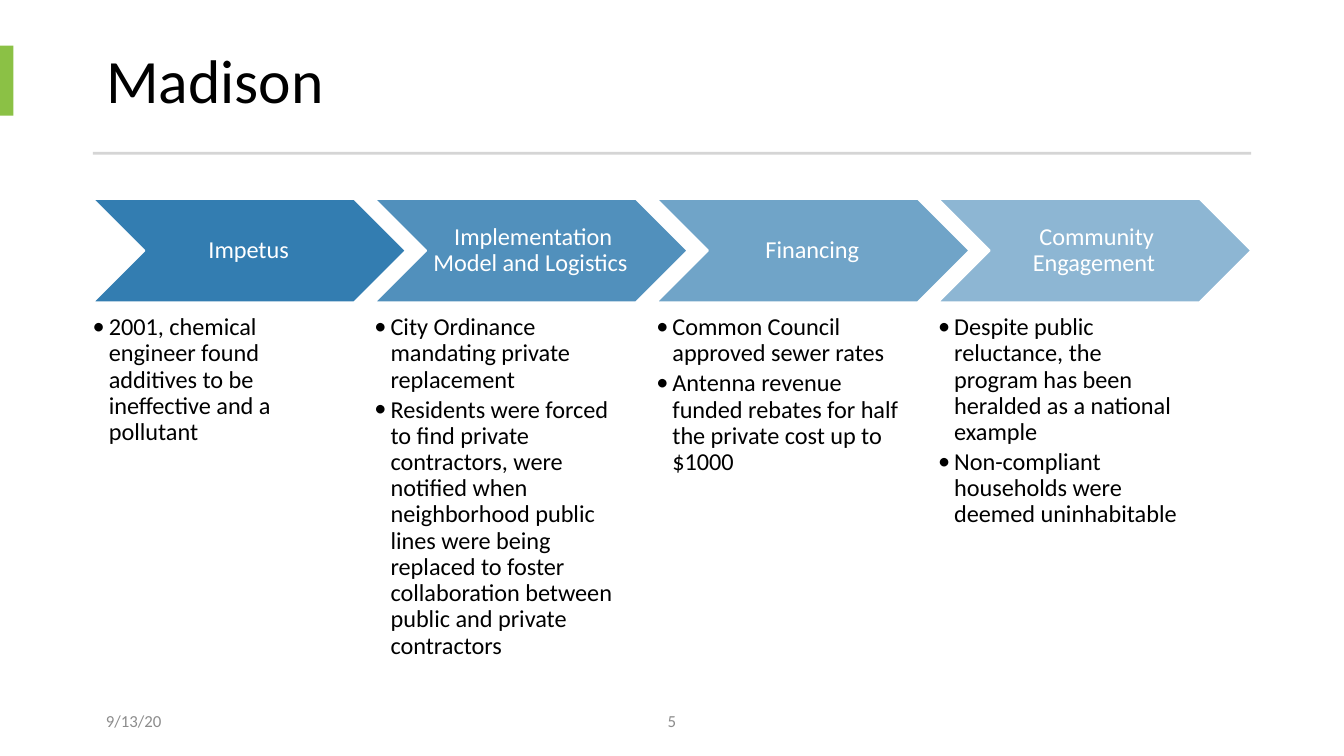
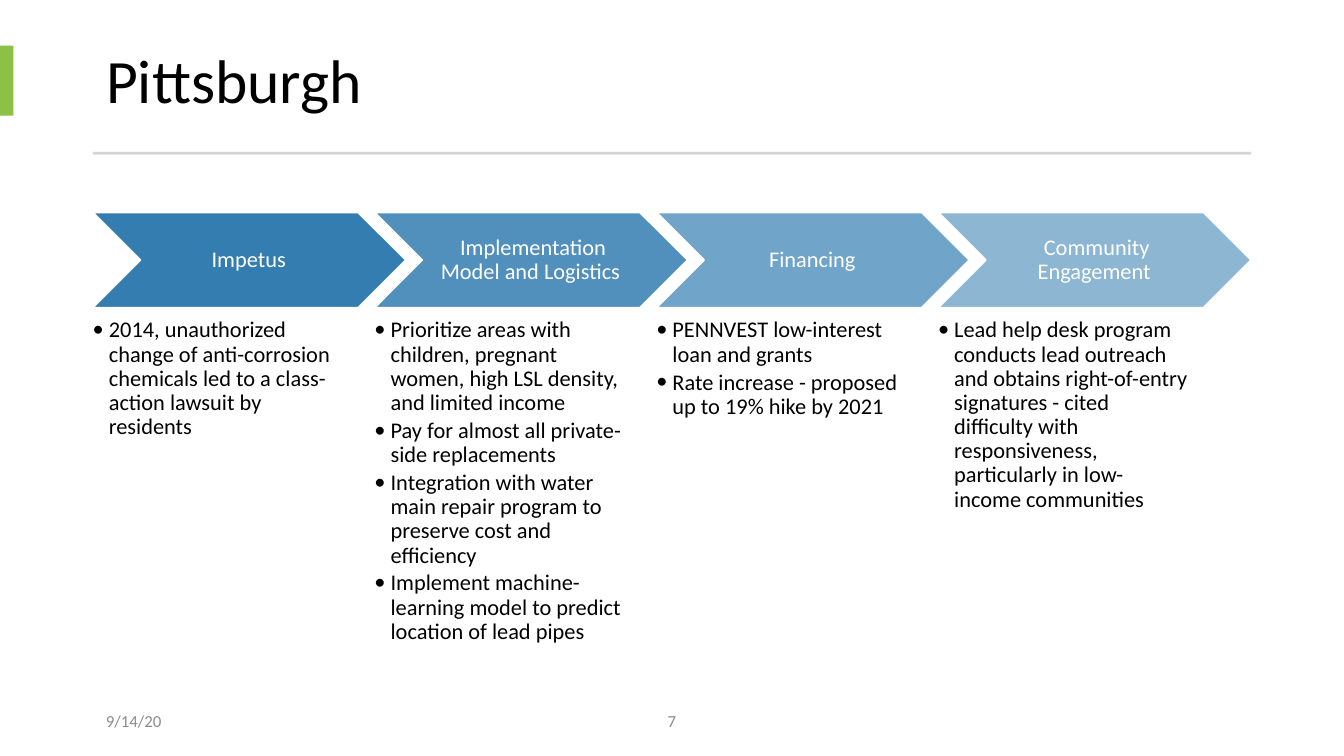
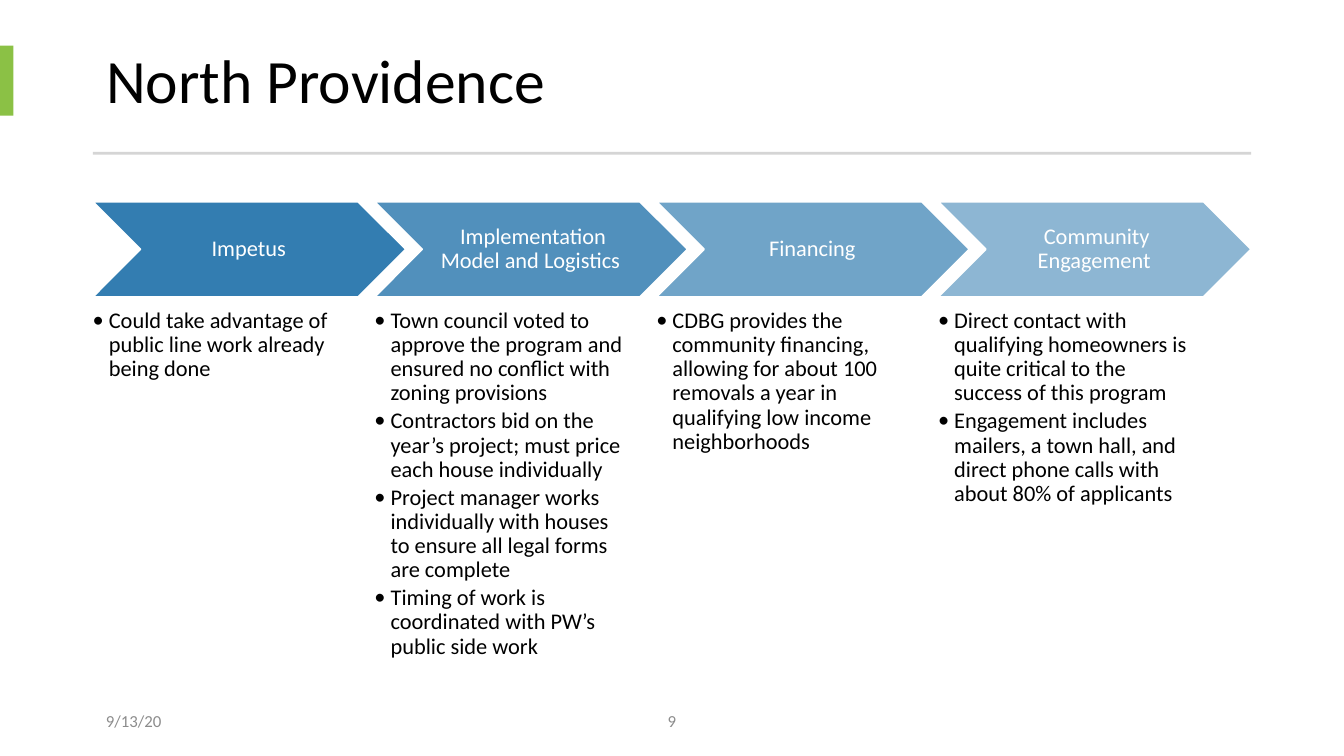
"""Build three city slides that follow one four-stage process layout."""
from lxml.etree import SubElement
from pptx import Presentation
from pptx.dml.color import RGBColor
from pptx.enum.shapes import MSO_SHAPE
from pptx.enum.text import MSO_ANCHOR, MSO_AUTO_SIZE, PP_ALIGN
from pptx.oxml.ns import qn
from pptx.util import Inches, Pt

FONT = "Calibri"
BLACK, WHITE, GREY = "000000", "FFFFFF", "8C8C8C"
GREEN, RULE, BLUE = "8BC145", "D5D5D5", "1D6FA9"
LEFT, SPAN = 0.69, 8.62
CHEVRON_WIDTH, BULLET_WIDTH = 2.33, 1.86
BULLET_INDENT = 0.12

STAGES = [
    ("Impetus ", 90),
    ("Implementation Model and Logistics ", 77),
    ("Financing ", 63),
    ("Community Engagement ", 50),
]

CITIES = [
    {
        "city": "Madison", "date": "9/13/20", "number": "5", "size": 13,
        "chevron": (1.48, 0.77), "bullets": (2.34, 2.65),
        "stages": [
            ["2001, chemical engineer found additives to be ineffective and a pollutant"],
            ["City Ordinance mandating private replacement",
             "Residents were forced to find private contractors, were notified when "
             "neighborhood public lines were being replaced to foster collaboration "
             "between public and private contractors"],
            ["Common Council approved sewer rates",
             "Antenna revenue funded rebates for half the private cost up to $1000"],
            ["Despite public reluctance, the program has been heralded as a national example",
             "Non-compliant households were deemed uninhabitable"],
        ],
    },
    {
        "city": "Pittsburgh", "date": "9/14/20", "number": "7", "size": 12,
        "chevron": (1.58, 0.71), "bullets": (2.37, 2.52),
        "stages": [
            ["2014, unauthorized change of anti-corrosion chemicals led to a "
             "class-action lawsuit by residents"],
            ["Prioritize areas with children, pregnant women, high LSL density, "
             "and limited income",
             "Pay for almost all private-side replacements",
             "Integration with water main repair program to preserve cost and efficiency",
             "Implement machine-learning model to predict location of lead pipes"],
            ["PENNVEST low-interest loan and grants",
             "Rate increase - proposed up to 19% hike by 2021"],
            ["Lead help desk program conducts lead outreach and obtains right-of-entry "
             "signatures - cited difficulty with responsiveness, particularly in "
             "low-income communities"],
        ],
    },
    {
        "city": "North Providence", "date": "9/13/20", "number": "9", "size": 12,
        "chevron": (1.5, 0.71), "bullets": (2.3, 2.66),
        "stages": [
            ["Could take advantage of public line work already being done"],
            ["Town council voted to approve the program and ensured no conflict "
             "with zoning provisions",
             "Contractors bid on the year’s project; must price each house individually",
             "Project manager works individually with houses to ensure all legal "
             "forms are complete",
             "Timing of work is coordinated with PW’s public side work"],
            ["CDBG provides the community financing, allowing for about 100 removals "
             "a year in qualifying low income neighborhoods"],
            ["Direct contact with qualifying homeowners is quite critical to the "
             "success of this program",
             "Engagement includes mailers, a town hall, and direct phone calls with "
             "about 80% of applicants"],
        ],
    },
]


def rgb(value):
    """Turn a hex string into a colour."""
    return RGBColor.from_string(value)


def apply(target, formats):
    """Set every named attribute on the target."""
    for name, value in formats.items():
        setattr(target, name, value)


def inches(*lengths):
    """Convert lengths to slide units."""
    return [Inches(length) for length in lengths]


def write(frame, lines, size, color, insets=(0.1, 0.05, 0.1, 0.05),
          anchor=MSO_ANCHOR.MIDDLE, **paragraph_format):
    """Fill a text frame with one styled paragraph per line."""
    left, top, right, bottom = inches(*insets)
    apply(frame, {"word_wrap": True, "auto_size": MSO_AUTO_SIZE.NONE,
                  "vertical_anchor": anchor, "margin_left": left, "margin_top": top,
                  "margin_right": right, "margin_bottom": bottom})
    for index, line in enumerate(lines):
        paragraph = frame.add_paragraph() if index else frame.paragraphs[0]
        apply(paragraph, {"alignment": PP_ALIGN.LEFT, **paragraph_format})
        run = paragraph.add_run()
        run.text = line
        apply(run.font, {"name": FONT, "size": Pt(size)})
        run.font.color.rgb = rgb(color)


def add_text(slide, place, lines, size, color, **formats):
    """Add a text box and return its text frame."""
    frame = slide.shapes.add_textbox(*inches(*place)).text_frame
    write(frame, lines, size, color, **formats)
    return frame


def add_block(slide, kind, place, color, opacity=100, outline=None):
    """Add a filled shape with optional transparency and outline."""
    block = slide.shapes.add_shape(kind, *inches(*place))
    block.shadow.inherit = False
    block.fill.solid()
    block.fill.fore_color.rgb = rgb(color)
    if opacity < 100:
        srgb = block.fill._xPr.find(qn("a:solidFill")).find(qn("a:srgbClr"))
        SubElement(srgb, qn("a:alpha"), val=str(opacity * 1000))
    if outline:
        block.line.color.rgb = rgb(outline)
        block.line.width = Pt(1)
    else:
        block.line.fill.background()


def add_bullets(frame):
    """Give each paragraph a hanging bullet."""
    for paragraph in frame.paragraphs:
        properties = paragraph._p.get_or_add_pPr()
        properties.set("marL", str(Inches(BULLET_INDENT)))
        properties.set("indent", str(-Inches(BULLET_INDENT)))
        SubElement(properties, qn("a:buFont"), typeface=FONT)
        SubElement(properties, qn("a:buChar"), char="•")


def add_frame(slide, city):
    """Add the title, accent bar, rule and footer that all slides share."""
    title = slide.shapes.title
    left, top, width, height = inches(LEFT, 0.21, SPAN, 0.83)
    apply(title, {"left": left, "top": top, "width": width, "height": height})
    write(title.text_frame, [city["city"]], 33, BLACK, insets=(0.1,) * 4, line_spacing=0.9)
    add_block(slide, MSO_SHAPE.RECTANGLE, (0, 0.34, 0.1, 0.52), GREEN)
    add_block(slide, MSO_SHAPE.RECTANGLE, (LEFT, 1.13, SPAN, 0.02), RULE)
    add_text(slide, (LEFT, 5.21, 2.25, 0.3), [city["date"]], 9, GREY)
    add_text(slide, (3.31, 5.21, 3.38, 0.3), [city["number"]], 9, GREY,
             alignment=PP_ALIGN.CENTER)


def add_stages(slide, city):
    """Add the row of chevrons with the bullets under each."""
    top, height = city["chevron"]
    bullets_top, bullets_height = city["bullets"]
    step = (SPAN - CHEVRON_WIDTH) / (len(STAGES) - 1)
    for index, ((stage, opacity), points) in enumerate(zip(STAGES, city["stages"])):
        left = LEFT + index * step
        add_block(slide, MSO_SHAPE.CHEVRON, (left, top, CHEVRON_WIDTH, height),
                  BLUE, opacity, WHITE)
        add_text(slide, (left + height / 2, top, CHEVRON_WIDTH - height, height),
                 [stage], city["size"], WHITE, insets=(0.05, 0.02, 0.02, 0.02),
                 alignment=PP_ALIGN.CENTER, line_spacing=0.9)
        add_bullets(add_text(
            slide, (left, bullets_top, BULLET_WIDTH, bullets_height), points,
            city["size"], BLACK, insets=(0,) * 4, anchor=MSO_ANCHOR.TOP,
            line_spacing=0.9, space_after=Pt(2)))


def main():
    """Build and save the presentation."""
    deck = Presentation()
    width = Inches(10)
    apply(deck, {"slide_width": width, "slide_height": width * 9 // 16})
    for city in CITIES:
        slide = deck.slides.add_slide(deck.slide_layouts[5])
        add_frame(slide, city)
        add_stages(slide, city)
    deck.save("out.pptx")


if __name__ == "__main__":
    main()
